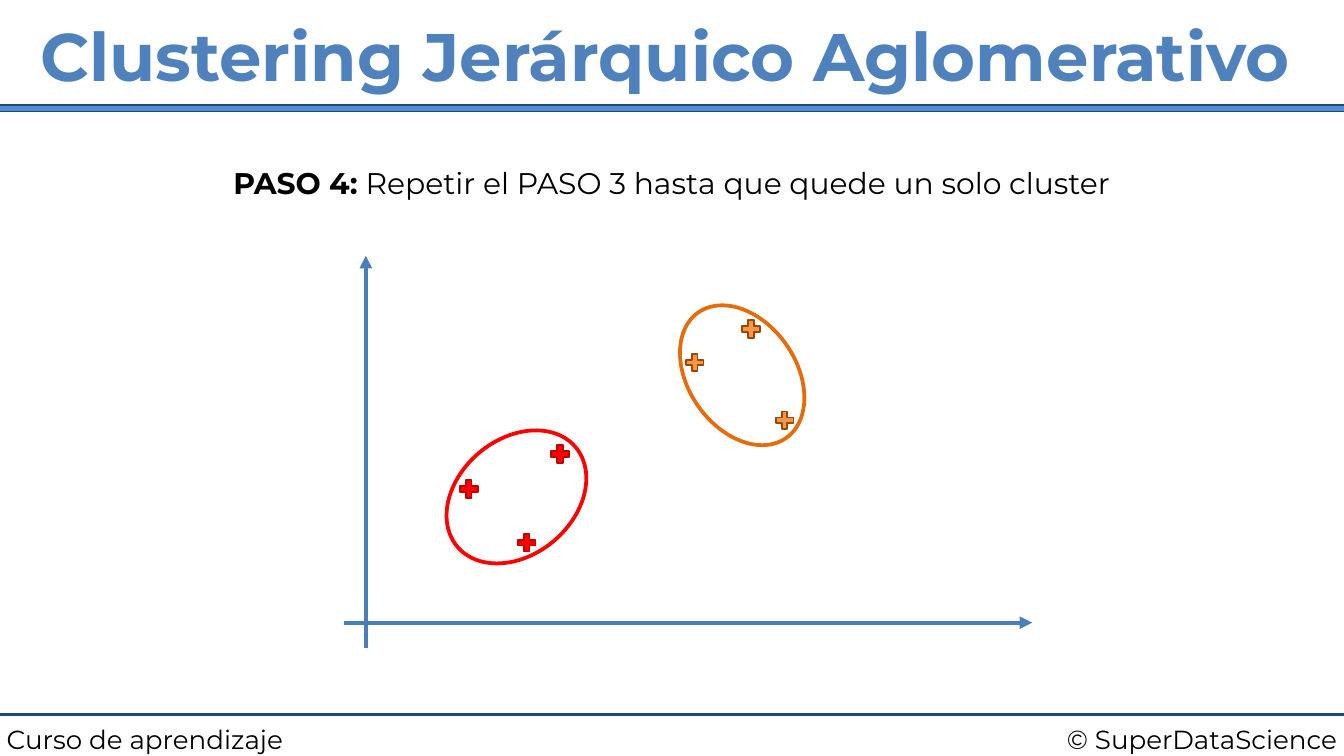
from lxml.etree import SubElement
from pptx import Presentation
from pptx.dml.color import RGBColor
from pptx.enum.shapes import MSO_CONNECTOR, MSO_SHAPE
from pptx.enum.text import MSO_ANCHOR, PP_ALIGN
from pptx.oxml.ns import qn
from pptx.util import Pt

WIDE, HIGH = 720, 405
FONT = "Montserrat"
CROSS = 13
TITLE = {"size": Pt(36), "bold": True}
STEP = {"size": Pt(16)}
FOOT = {"size": Pt(14)}
GROUPS = [
    {"fill": "F79646", "edge": "984807", "ring": "E46C0A", "turn": 325,
     "oval": (184.3, 23, 57.6, 82.1),
     "points": [(235.8, 88.2), (187.6, 57.2), (217.8, 39.2)]},
    {"fill": "FF0000", "edge": "C00000", "ring": "FF0000", "turn": 230,
     "oval": (61.2, 87.8, 61.9, 82.8),
     "points": [(66.6, 124.9), (97.6, 153.7), (115.6, 106.2)]},
]


def color(code):
    """Turn a hex string into a colour."""
    return RGBColor.from_string(code)


def add_text(slide, box, runs, style, align=PP_ALIGN.LEFT, tint="000000"):
    """Place one paragraph of (text, bold) runs in a box."""
    frame = slide.shapes.add_textbox(*map(Pt, box)).text_frame
    form = {"word_wrap": True, "vertical_anchor": MSO_ANCHOR.MIDDLE}
    form.update({f"margin_{side}": Pt(3.6)
                 for side in ("left", "top", "right", "bottom")})
    for key, value in form.items():
        setattr(frame, key, value)
    para = frame.paragraphs[0]
    para.alignment = align
    for text, bold in runs:
        run = para.add_run()
        run.text = text
        for key, value in {"name": FONT, "bold": bold, **style}.items():
            setattr(run.font, key, value)
        run.font.color.rgb = color(tint)


def add_shape(slide, kind, box, edge, weight, fill=None, turn=0):
    """Place a preset shape with its outline, fill and rotation."""
    shape = slide.shapes.add_shape(kind, *map(Pt, box))
    shape.shadow.inherit = False
    shape.rotation = turn
    shape.line.color.rgb = color(edge)
    shape.line.width = Pt(weight)
    if fill:
        shape.fill.solid()
        shape.fill.fore_color.rgb = color(fill)
    else:
        shape.fill.background()


def add_line(slide, ends, tint, weight, arrow=False):
    """Draw a straight line, with an arrowhead at its end if asked."""
    line = slide.shapes.add_connector(MSO_CONNECTOR.STRAIGHT, *map(Pt, ends))
    line.line.color.rgb = color(tint)
    line.line.width = Pt(weight)
    props = line._element.spPr
    if arrow:
        SubElement(props.find(qn("a:ln")), qn("a:tailEnd"), type="triangle")
    SubElement(props, qn("a:effectLst"))


def add_head(slide, left, top, width, height):
    """Build the title and the bar under it."""
    add_shape(slide, MSO_SHAPE.RECTANGLE,
              (left - 3, top + height - 2, width + 6, 3.6),
              "1F497D", 0.75, "558ED5")
    add_text(slide, (left + 18, top, width - 36, height),
             [("Clustering Jerárquico Aglomerativo", True)], TITLE,
             tint="4F81BD")


def add_step(slide, left, top, width, height):
    """Build the sentence that states the step."""
    add_text(slide, (left, top, width, height),
             [("PASO 4:", True),
              (" Repetir el PASO 3 hasta que quede un solo cluster", False)],
             STEP, PP_ALIGN.CENTER)


def add_plot(slide, left, top, width, height):
    """Build the axes and the two clusters of points."""
    across, down = left + 11.5, top + height - 13.6
    add_line(slide, (across, top + height, across, top), "4A7EBB", 2.25, True)
    add_line(slide, (left, down, left + width, down), "4A7EBB", 2.25, True)
    for group in GROUPS:
        for x, y in group["points"]:
            box = (left + x - CROSS / 2, top + y - CROSS / 2, CROSS, CROSS)
            add_shape(slide, MSO_SHAPE.MATH_MULTIPLY, box,
                      group["edge"], 1, group["fill"], 315)
        x, y, wide, high = group["oval"]
        add_shape(slide, MSO_SHAPE.OVAL, (left + x, top + y, wide, high),
                  group["ring"], 2, turn=group["turn"])


def add_foot(slide, left, top, width, height):
    """Build the footer rule and its two labels."""
    add_line(slide, (left, top, left + width, top), "1F497D", 1.5)
    half = width / 2
    labels = [("Curso de aprendizaje", PP_ALIGN.LEFT),
              ("© SuperDataScience", PP_ALIGN.RIGHT)]
    for spot, (text, align) in enumerate(labels):
        add_text(slide, (left + spot * half, top + 1, half, height - 1),
                 [(text, False)], FOOT, align)


def main():
    """Build the slide and save it."""
    deck = Presentation()
    deck.slide_width, deck.slide_height = Pt(WIDE), Pt(HIGH)
    slide = deck.slides.add_slide(deck.slide_layouts[6])
    add_foot(slide, 0, 383, WIDE, 25.3)
    add_head(slide, 0, 0, WIDE, 58.2)
    add_step(slide, 4.5, 84.8, 711, 26)
    add_plot(slide, 184.5, 137, 368.5, 210.2)
    deck.save("out.pptx")


if __name__ == "__main__":
    main()
